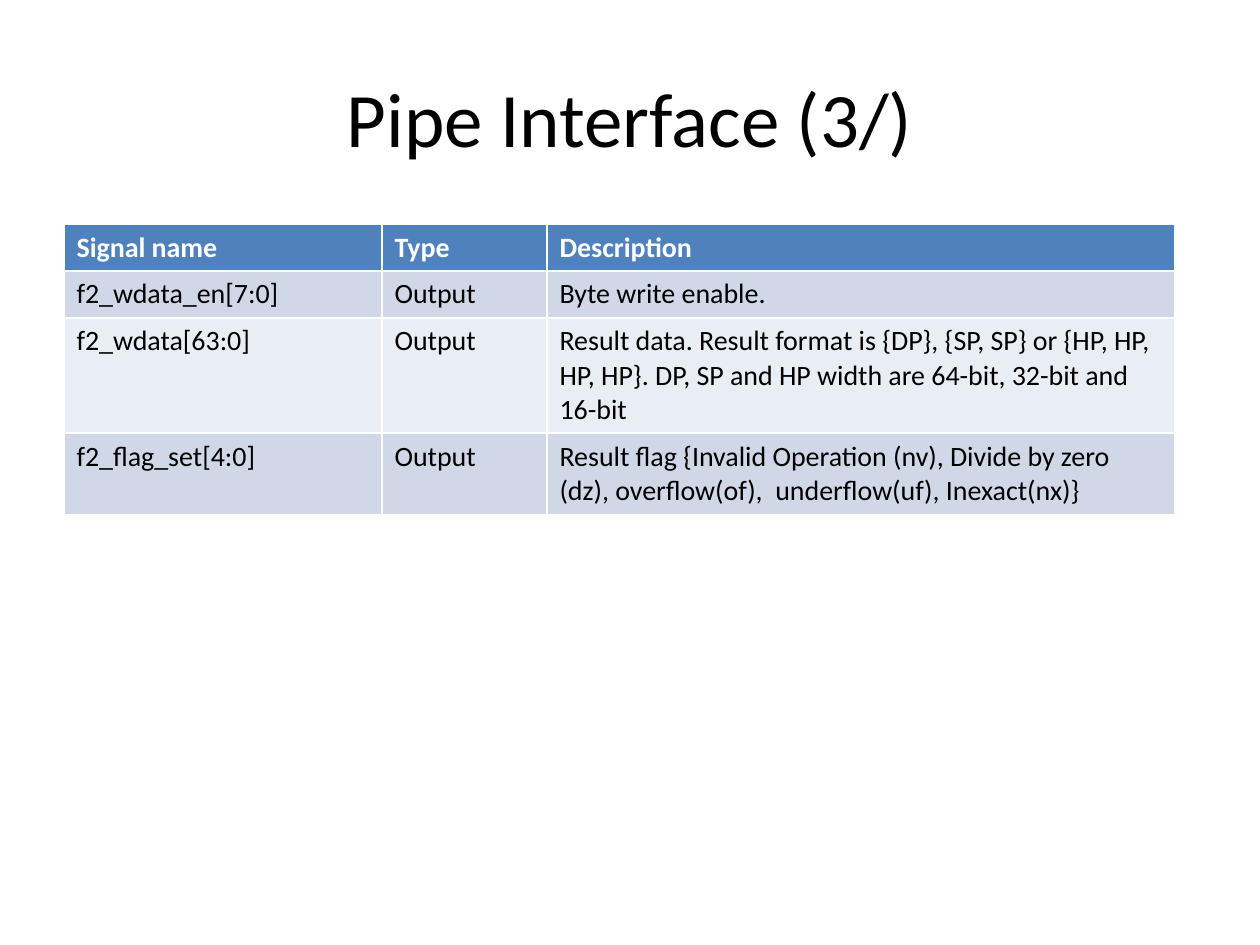
from pptx import Presentation
from pptx.dml.color import RGBColor
from pptx.enum.text import MSO_ANCHOR, PP_ALIGN
from pptx.util import Emu, Pt

COLORS = {"header": "4F81BD", "odd": "D0D8E8", "even": "E9EDF4",
          "white": "FFFFFF", "black": "000000"}
FONT = "Calibri"
COL_WIDTHS = [318, 165, 628]
ROW_HEIGHTS = [46, 47, 115, 81]
ROWS = [
    ["Signal name", "Type", "Description"],
    ["f2_wdata_en[7:0]", "Output", "Byte write enable."],
    ["f2_wdata[63:0]", "Output",
     "Result data. Result format is {DP}, {SP, SP} or {HP, HP, HP, HP}. "
     "DP, SP and HP width are 64-bit, 32-bit and 16-bit"],
    ["f2_flag_set[4:0]", "Output",
     "Result flag {Invalid Operation (nv), Divide by zero (dz), "
     "overflow(of),  underflow(uf), Inexact(nx)}"],
]


def px(n):
    """Convert pixels at 126 to the inch into EMU."""
    return Emu(round(n * 914400 / 126))


def style(p, size, color, bold=False):
    p.font.name = FONT
    p.font.size = Pt(size)
    p.font.bold = bold
    p.font.color.rgb = RGBColor.from_string(COLORS[color])


prs = Presentation()
prs.slide_width, prs.slide_height = px(1260), px(945)
s = prs.slides.add_slide(prs.slide_layouts[5])

title = s.shapes.title
title.left, title.top, title.width, title.height = px(63), px(38), px(1134), px(157)
tf = title.text_frame
tf.text = "Pipe Interface (3/)"
tf.vertical_anchor = MSO_ANCHOR.MIDDLE
tf.paragraphs[0].alignment = PP_ALIGN.CENTER
style(tf.paragraphs[0], 44, "black")

# The default table style supplies the white cell borders.
table = s.shapes.add_table(len(ROWS), len(COL_WIDTHS), px(64), px(224),
                           px(sum(COL_WIDTHS)), px(sum(ROW_HEIGHTS))).table
for column, width in zip(table.columns, COL_WIDTHS):
    column.width = px(width)
for i, (texts, height) in enumerate(zip(ROWS, ROW_HEIGHTS)):
    table.rows[i].height = px(height)
    is_header = i == 0
    fill = "header" if is_header else "odd" if i % 2 else "even"
    for j, text in enumerate(texts):
        cell = table.cell(i, j)
        cell.text = text
        cell.fill.solid()
        cell.fill.fore_color.rgb = RGBColor.from_string(COLORS[fill])
        style(cell.text_frame.paragraphs[0], 16,
              "white" if is_header else "black", bold=is_header)

prs.save("out.pptx")
